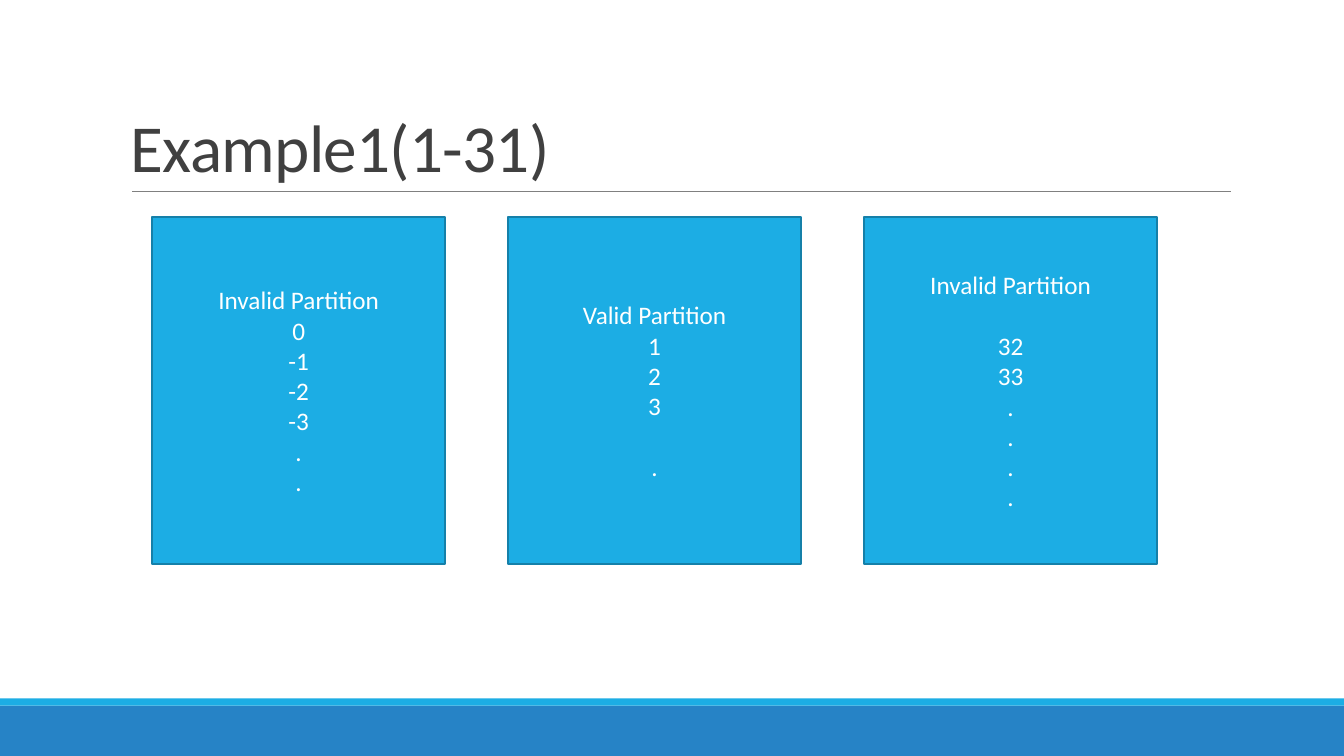
"""Build a slide that shows three input partitions for the range 1-31."""
from dataclasses import dataclass

from lxml import etree
from pptx import Presentation
from pptx.dml.color import RGBColor
from pptx.enum.shapes import MSO_CONNECTOR, MSO_SHAPE
from pptx.enum.text import MSO_ANCHOR, MSO_AUTO_SIZE, PP_ALIGN
from pptx.oxml.ns import qn
from pptx.shapes.autoshape import Shape
from pptx.slide import Slide
from pptx.text.text import _Paragraph
from pptx.util import Emu, Pt

RECT = MSO_SHAPE.RECTANGLE
STRAIGHT = MSO_CONNECTOR.STRAIGHT
MIDDLE, BOTTOM = MSO_ANCHOR.MIDDLE, MSO_ANCHOR.BOTTOM
LEFT, CENTER = PP_ALIGN.LEFT, PP_ALIGN.CENTER
NO_FIT = MSO_AUTO_SIZE.NONE

SCALE = 9525
FONT = "Calibri"
COLORS = {
    "sky": "1CADE4",
    "blue": "2683C6",
    "edge": "1580A9",
    "rule": "808080",
    "title": "404040",
    "white": "FFFFFF",
}
BOX_LEFT, BOX_TOP, BOX_WIDTH, BOX_HEIGHT, BOX_STEP = 145, 207, 279, 330, 339
GAP = 22


@dataclass(frozen=True)
class Bar:
    top: int
    height: int
    color: str


@dataclass(frozen=True)
class Group:
    lines: tuple[str, ...]
    gap_at: int | None = None


BARS = (Bar(672, 48, "blue"), Bar(665, 7, "sky"))
GROUPS = (
    Group(("Invalid Partition", "0", "-1", "-2", "-3", ".", ".")),
    Group(("Valid Partition", "1", "2", "3", "."), gap_at=4),
    Group(("Invalid Partition", "32", "33", ".", ".", ".", "."), gap_at=1),
)


def px(count: int) -> Emu:
    """Turn px into EMU."""
    return Emu(count * SCALE)


def color(name: str) -> RGBColor:
    """Look up a colour by name."""
    return RGBColor.from_string(COLORS[name])


def add_run(para: _Paragraph, text: str, size: int, tint: str) -> None:
    """Add one styled run to a paragraph."""
    run = para.add_run()
    run.text = text
    run.font.name = FONT
    run.font.size = Pt(size)
    run.font.color.rgb = color(tint)


def add_rect(slide: Slide, left: int, top: int, width: int, height: int, fill: str) -> Shape:
    """Add a plain filled rectangle."""
    rect = slide.shapes.add_shape(RECT, px(left), px(top), px(width), px(height))
    rect.shadow.inherit = False
    rect.fill.solid()
    rect.fill.fore_color.rgb = color(fill)
    rect.line.fill.background()
    return rect


def add_rule(slide: Slide) -> None:
    """Draw the thin line below the title."""
    rule = slide.shapes.add_connector(STRAIGHT, px(126), px(182), px(1172), px(182))
    rule.line.color.rgb = color("rule")
    rule.line.width = Pt(0.5)
    etree.SubElement(rule._element.spPr, qn("a:effectLst"))


def set_title(slide: Slide, text: str) -> None:
    """Place and style the title."""
    title = slide.shapes.title
    title.left, title.top, title.width, title.height = px(115), px(30), px(1056), px(152)
    frame = title.text_frame
    frame.auto_size = NO_FIT
    frame.vertical_anchor = BOTTOM
    para = frame.paragraphs[0]
    para.alignment = LEFT
    para.line_spacing = 0.85
    add_run(para, text, 48, "title")
    para.runs[0]._r.get_or_add_rPr().set("spc", "-50")


def add_group(slide: Slide, index: int, group: Group) -> None:
    """Draw one partition box with its values."""
    left = BOX_LEFT + index * BOX_STEP
    box = add_rect(slide, left, BOX_TOP, BOX_WIDTH, BOX_HEIGHT, "sky")
    box.line.color.rgb = color("edge")
    box.line.width = Pt(1.25)
    frame = box.text_frame
    frame.word_wrap = True
    frame.vertical_anchor = MIDDLE
    for row, text in enumerate(group.lines):
        para = frame.add_paragraph() if row else frame.paragraphs[0]
        para.alignment = CENTER
        if row == group.gap_at:
            para.space_before = Pt(GAP)
        add_run(para, text, 18, "white")


def main() -> None:
    """Build and save the slide."""
    deck = Presentation()
    deck.slide_width, deck.slide_height = px(1280), px(720)
    slide = deck.slides.add_slide(deck.slide_layouts.get_by_name("Title Only"))
    for bar in BARS:
        add_rect(slide, 0, bar.top, 1280, bar.height, bar.color)
    add_rule(slide)
    set_title(slide, "Example1(1-31)")
    for index, group in enumerate(GROUPS):
        add_group(slide, index, group)
    deck.save("out.pptx")


if __name__ == "__main__":
    main()
